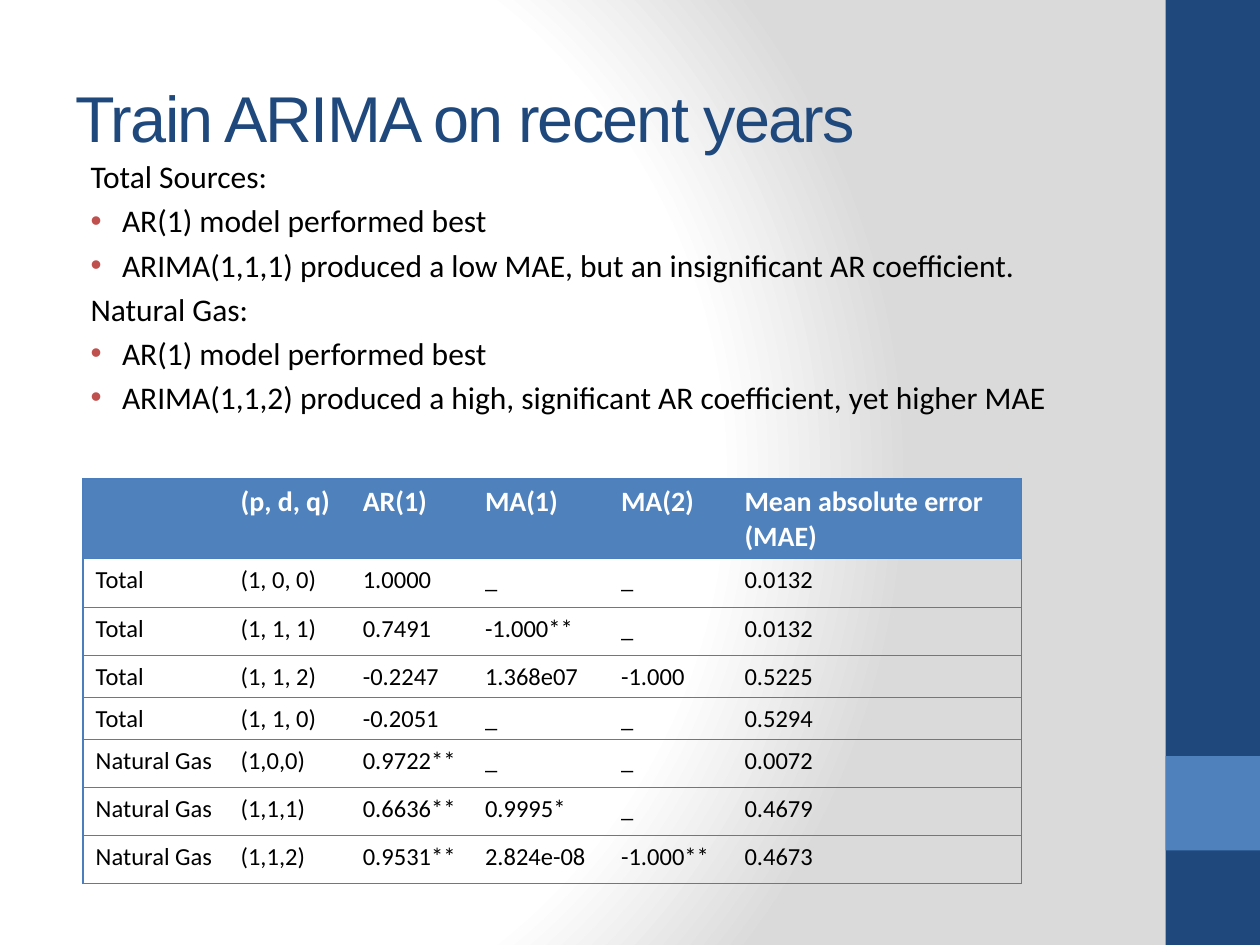
from lxml.etree import SubElement
from pptx import Presentation
from pptx.dml.color import RGBColor
from pptx.enum.shapes import MSO_SHAPE
from pptx.enum.text import MSO_ANCHOR as ANCHOR, PP_ALIGN as ALIGN
from pptx.oxml import parse_xml
from pptx.oxml.ns import nsdecls, qn
from pptx.util import Inches, Pt

COLORS = {
    "navy": "1F497D", "blue": "4F81BD", "border": "4B7EBC", "bullet": "C0504D",
    "black": "000000", "white": "FFFFFF", "gray": "DADADA",
}
NOTES = [
    ("Total Sources:", False),
    ("AR(1) model performed best", True),
    ("ARIMA(1,1,1) produced a low MAE, but an insignificant AR coefficient.", True),
    ("Natural Gas:", False),
    ("AR(1) model performed best", True),
    ("ARIMA(1,1,2) produced a high, significant AR coefficient, yet higher MAE", True),
]
RESULTS = [
    ("", "(p, d, q)", "AR(1)", "MA(1)", "MA(2)", "Mean absolute error (MAE)"),
    ("Total", "(1, 0, 0)", "1.0000", "_", "_", "0.0132"),
    ("Total", "(1, 1, 1)", "0.7491", "-1.000**", "_", "0.0132"),
    ("Total", "(1, 1, 2)", "-0.2247", "1.368e07", "-1.000", "0.5225"),
    ("Total", "(1, 1, 0)", "-0.2051", "_", "_", "0.5294"),
    ("Natural Gas", "(1,0,0)", "0.9722**", "_", "_", "0.0072"),
    ("Natural Gas", "(1,1,1)", "0.6636**", "0.9995*", "_", "0.4679"),
    ("Natural Gas", "(1,1,2)", "0.9531**", "2.824e-08", "-1.000**", "0.4673"),
]
COLUMN_WIDTHS = [1.15, 0.97, 0.97, 1.08, 0.98, 2.3]
ROW_HEIGHTS = [0.6, 0.39, 0.38, 0.32, 0.32, 0.38, 0.38, 0.38]
PLAIN_TABLE_STYLE = "{2D5ABB26-0587-4C30-8999-92F81FD0307C}"


def color(name):
    """Return the named colour."""
    return RGBColor.from_string(COLORS[name])


def write(paragraph, text, size=18, font="Calibri", fill="black", bold=False, spacing=0):
    """Add one formatted run to a paragraph."""
    paragraph.alignment = ALIGN.LEFT
    run = paragraph.add_run()
    run.text = text
    run.font.size = Pt(size)
    run.font.name = font
    run.font.bold = bold
    run.font.color.rgb = color(fill)
    if spacing:
        run._r.get_or_add_rPr().set("spc", str(spacing * 100))


def paint_background(slide):
    """Give the slide its radial white to gray gradient."""
    slide.background.fill.solid()
    solid = slide.background._cSld.find(".//" + qn("a:solidFill"))
    stops = "".join(
        f'<a:gs pos="{position * 1000}"><a:srgbClr val="{COLORS[name]}"/></a:gs>'
        for position, name in ((0, "white"), (75, "white"), (100, "gray"))
    )
    gradient = parse_xml(
        f'<a:gradFill {nsdecls("a")} rotWithShape="1"><a:gsLst>{stops}</a:gsLst>'
        '<a:path path="circle"><a:fillToRect l="20000" t="50000" r="100000" b="50000"/>'
        "</a:path></a:gradFill>"
    )
    solid.getparent().replace(solid, gradient)


def add_sidebar(slide, left, top, width, height):
    """Draw the navy band with its lighter square."""
    bands = (("navy", top, height), ("blue", top + height * 0.8, width))
    for name, band_top, band_height in bands:
        band = slide.shapes.add_shape(
            MSO_SHAPE.RECTANGLE, Inches(left), Inches(band_top), Inches(width), Inches(band_height)
        )
        band.shadow.inherit = False
        band.fill.solid()
        band.fill.fore_color.rgb = color(name)
        band.line.fill.background()


def place_title(slide, left, top, width, height):
    """Move the title placeholder and write the heading."""
    title = slide.shapes.title
    title.left, title.top = Inches(left), Inches(top)
    title.width, title.height = Inches(width), Inches(height)
    title.text_frame.vertical_anchor = ANCHOR.MIDDLE
    write(title.text_frame.paragraphs[0], "Train ARIMA on recent years",
          size=37, font="Arial", fill="navy", spacing=-1)


def add_notes(slide, left, top, width, height):
    """Write the headings and bulleted findings."""
    box = slide.shapes.add_textbox(Inches(left), Inches(top), Inches(width), Inches(height))
    frame = box.text_frame
    frame.word_wrap = True
    for index, (text, bulleted) in enumerate(NOTES):
        paragraph = frame.add_paragraph() if index else frame.paragraphs[0]
        paragraph.space_before = Pt(3.6)
        write(paragraph, text)
        properties = paragraph._p.get_or_add_pPr()
        properties.set("marL", str(Inches(0.7 if bulleted else 0.45)))
        properties.set("indent", str(Inches(-0.25 if bulleted else 0)))
        if bulleted:
            bullet_color = SubElement(properties, qn("a:buClr"))
            SubElement(bullet_color, qn("a:srgbClr"), val=COLORS["bullet"])
            SubElement(properties, qn("a:buFont"), typeface="Arial")
            SubElement(properties, qn("a:buChar"), char="•")


def add_border(cell, side):
    """Draw a one point line on one side of a cell."""
    line = SubElement(cell._tc.get_or_add_tcPr(), qn(f"a:ln{side}"), w=str(Pt(1)))
    fill = SubElement(line, qn("a:solidFill"))
    SubElement(fill, qn("a:srgbClr"), val=COLORS["border"])


def add_results(slide, left, top):
    """Build the table of model coefficients and errors."""
    frame = slide.shapes.add_table(
        len(RESULTS), len(COLUMN_WIDTHS), Inches(left), Inches(top),
        Inches(sum(COLUMN_WIDTHS)), Inches(sum(ROW_HEIGHTS))
    )
    table = frame.table
    table.first_row = table.horz_banding = False
    table._tbl.tblPr.find(qn("a:tableStyleId")).text = PLAIN_TABLE_STYLE
    for column, width in zip(table.columns, COLUMN_WIDTHS):
        column.width = Inches(width)
    for row, height in zip(table.rows, ROW_HEIGHTS):
        row.height = Inches(height)
    for row_index, values in enumerate(RESULTS):
        header = row_index == 0
        for column_index, text in enumerate(values):
            cell = table.cell(row_index, column_index)
            if column_index == 0:
                add_border(cell, "L")
            if column_index == len(values) - 1:
                add_border(cell, "R")
            add_border(cell, "T")
            add_border(cell, "B")
            if header:
                cell.fill.solid()
                cell.fill.fore_color.rgb = color("blue")
            else:
                cell.fill.background()
            if text:
                write(cell.text_frame.paragraphs[0], text, size=16 if header else 14,
                      fill="white" if header else "black", bold=header)


def main():
    """Build and save the presentation."""
    presentation = Presentation()
    presentation.slide_width, presentation.slide_height = Inches(10), Inches(7.5)
    slide = presentation.slides.add_slide(presentation.slide_layouts[5])
    paint_background(slide)
    add_sidebar(slide, 9.25, 0, 0.75, 7.5)
    place_title(slide, 0.5, 0.3, 8.33, 1.25)
    add_notes(slide, 0.17, 1.2, 9.01, 5.6)
    add_results(slide, 0.66, 3.8)
    presentation.save("out.pptx")


if __name__ == "__main__":
    main()
